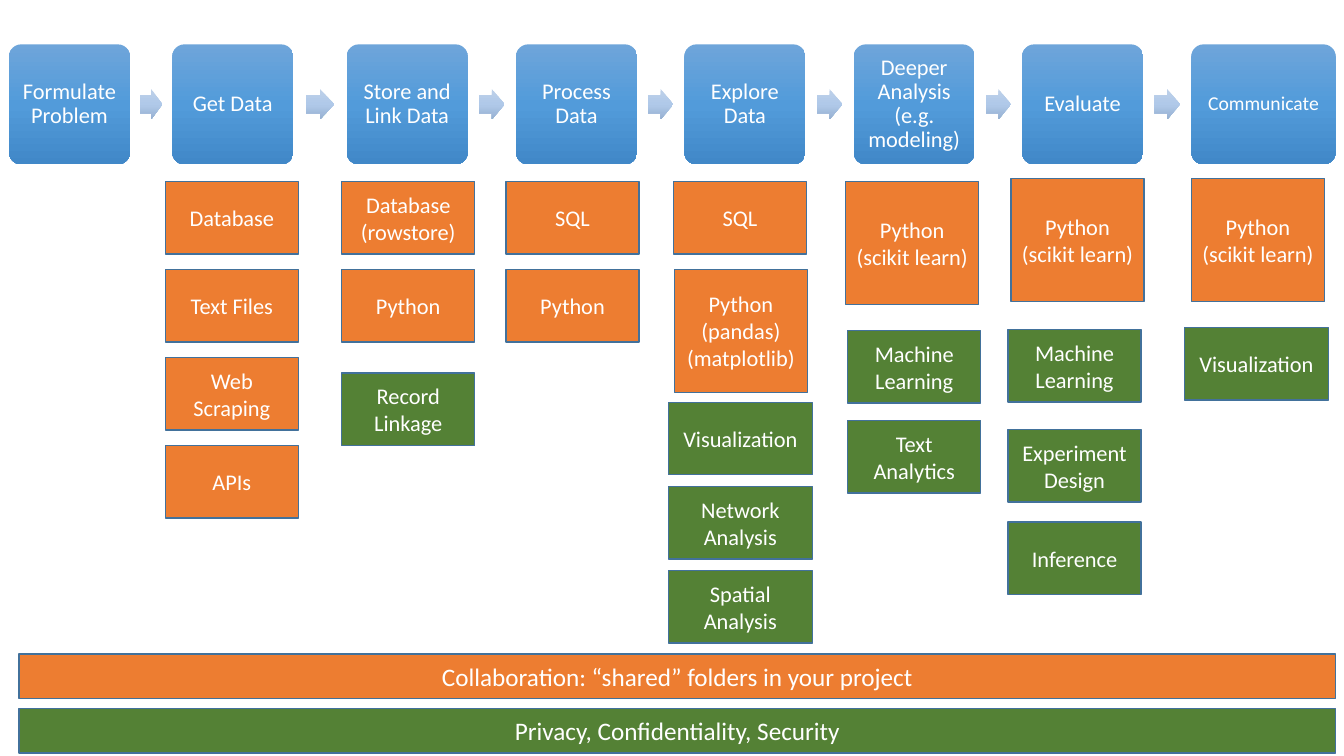
from copy import deepcopy

from pptx import Presentation
from pptx.dml.color import RGBColor
from pptx.enum.shapes import MSO_SHAPE
from pptx.enum.text import MSO_ANCHOR, PP_ALIGN
from pptx.util import Inches, Pt

# The slide is a grid of square cells, a tenth of an inch wide and high.
CELL = Inches(0.1)
COLUMNS, ROWS = 133.33, 75

WHITE, ORANGE, GREEN, OUTLINE = "FFFFFF", "ED7D31", "548135", "42719B"
STEP_GRADIENT = ("6EA5DA", "529BDA", "4188C8")
ARROW_GRADIENT = ("BDD0E9", "B0C9E9", "96B0D1")

STEP_TOP, STEP_WIDTH, STEP_HEIGHT = 4.4, 12, 11.9
ARROW_HEIGHT = 3
BOX_WIDTH, WIDE_BOX, BOX_HEIGHT, TALL_BOX = 13.2, 14.3, 7.2, 12.2
TOOL_TOP, TOOL_PITCH = 18, 8.73

# label, left, width, text size
STEPS = [
    ("Formulate Problem", 0.9, STEP_WIDTH, 16),
    ("Get Data", 17.1, STEP_WIDTH, 16),
    ("Store and Link Data", 34.4, STEP_WIDTH, 16),
    ("Process Data", 51.2, STEP_WIDTH, 16),
    ("Explore Data", 67.9, STEP_WIDTH, 16),
    ("Deeper Analysis (e.g. modeling)", 84.7, STEP_WIDTH, 16),
    ("Evaluate", 101.4, STEP_WIDTH, 16),
    ("Communicate", 118.2, WIDE_BOX, 14),
]

# left, top, pitch, width, height, fill, labels from top to bottom
SCIKIT = ["Python\n(scikit learn)"]
STACKS = [
    (16.4, TOOL_TOP, TOOL_PITCH, BOX_WIDTH, BOX_HEIGHT, ORANGE,
     ["Database", "Text Files", "Web Scraping", "APIs"]),
    (33.9, TOOL_TOP, TOOL_PITCH, BOX_WIDTH, BOX_HEIGHT, ORANGE,
     ["Database\n(rowstore)", "Python"]),
    (50.2, TOOL_TOP, TOOL_PITCH, BOX_WIDTH, BOX_HEIGHT, ORANGE, ["SQL", "Python"]),
    (66.8, TOOL_TOP, 0, BOX_WIDTH, BOX_HEIGHT, ORANGE, ["SQL"]),
    (66.9, TOOL_TOP + TOOL_PITCH, 0, BOX_WIDTH, TALL_BOX, ORANGE,
     ["Python\n(pandas)\n(matplotlib)"]),
    (83.9, TOOL_TOP, 0, BOX_WIDTH, TALL_BOX, ORANGE, SCIKIT),
    (100.3, 17.7, 0, BOX_WIDTH, TALL_BOX, ORANGE, SCIKIT),
    (118.2, 17.7, 0, BOX_WIDTH, TALL_BOX, ORANGE, SCIKIT),
    (33.9, 37, 0, BOX_WIDTH, BOX_HEIGHT, GREEN, ["Record Linkage"]),
    (66.3, 39.9, 8.35, WIDE_BOX, BOX_HEIGHT, GREEN,
     ["Visualization", "Network Analysis", "Spatial Analysis"]),
    (84.1, 32.8, 8.9, BOX_WIDTH, BOX_HEIGHT, GREEN,
     ["Machine Learning", "Text Analytics"]),
    (100, 32.7, 9.9, BOX_WIDTH, BOX_HEIGHT, GREEN,
     ["Machine Learning", "Experiment Design"]),
    (100, 51.8, 0, BOX_WIDTH, BOX_HEIGHT, GREEN, ["Inference"]),
    (117.5, 32.5, 0, WIDE_BOX, BOX_HEIGHT, GREEN, ["Visualization"]),
]

BARS = [
    ("Collaboration: “shared” folders in your project", 64.9, ORANGE),
    ("Privacy, Confidentiality, Security", 70.3, GREEN),
]


def cells(count):
    return round(count * CELL)


def color(value):
    return RGBColor.from_string(value)


def set_attributes(target, values):
    for name, value in values.items():
        setattr(target, name, value)


def add_plain_shape(slide, kind, left, top, width, height, adjustments=()):
    shape = slide.shapes.add_shape(
        kind, cells(left), cells(top), cells(width), cells(height))
    shape.shadow.inherit = False
    for index, value in enumerate(adjustments):
        shape.adjustments[index] = value
    return shape


def fill_gradient(shape, colors):
    """Fill from top to bottom with evenly spaced colors and no outline."""
    shape.line.fill.background()
    shape.fill.gradient()
    shape.fill.gradient_angle = 270
    stop_list = shape.element.xpath(".//a:gsLst")[0]
    while len(stop_list) < len(colors):
        stop_list.append(deepcopy(stop_list[-1]))
    for index, stop in enumerate(shape.fill.gradient_stops):
        stop.position = index / (len(colors) - 1)
        stop.color.rgb = color(colors[index])


def write_text(shape, text, size, inset_x=1, inset_y=0.5, line_spacing=1.0):
    frame = shape.text_frame
    set_attributes(frame, {
        "text": text, "word_wrap": True, "vertical_anchor": MSO_ANCHOR.MIDDLE,
        "margin_left": cells(inset_x), "margin_right": cells(inset_x),
        "margin_top": cells(inset_y), "margin_bottom": cells(inset_y),
    })
    for paragraph in frame.paragraphs:
        set_attributes(paragraph, {
            "alignment": PP_ALIGN.CENTER, "line_spacing": line_spacing})
        set_attributes(paragraph.font, {"name": "Calibri", "size": Pt(size)})
        paragraph.font.color.rgb = color(WHITE)


def add_step(slide, label, left, width, size):
    shape = add_plain_shape(slide, MSO_SHAPE.ROUNDED_RECTANGLE,
                            left, STEP_TOP, width, STEP_HEIGHT, [0.1])
    fill_gradient(shape, STEP_GRADIENT)
    write_text(shape, label, size, 0.65, 0.65, 0.9)


def add_arrow(slide, start, end):
    """Center an arrow in the gap between two steps."""
    width = 0.53 * (end - start)
    left = (start + end - width) / 2
    top = STEP_TOP + (STEP_HEIGHT - ARROW_HEIGHT) / 2
    shape = add_plain_shape(slide, MSO_SHAPE.RIGHT_ARROW,
                            left, top, width, ARROW_HEIGHT, [0.6, 0.5])
    fill_gradient(shape, ARROW_GRADIENT)


def add_box(slide, text, left, top, width, height, fill, size=16):
    shape = add_plain_shape(slide, MSO_SHAPE.RECTANGLE, left, top, width, height)
    shape.fill.solid()
    shape.fill.fore_color.rgb = color(fill)
    shape.line.color.rgb = color(OUTLINE)
    shape.line.width = Pt(1)
    write_text(shape, text, size)


def add_stack(slide, left, top, pitch, width, height, fill, labels):
    for row, label in enumerate(labels):
        add_box(slide, label, left, top + row * pitch, width, height, fill)


def main():
    presentation = Presentation()
    set_attributes(presentation, {
        "slide_width": cells(COLUMNS), "slide_height": cells(ROWS)})
    slide = presentation.slides.add_slide(presentation.slide_layouts[6])
    for step in STEPS:
        add_step(slide, *step)
    for (_, left, width, _), (_, next_left, _, _) in zip(STEPS, STEPS[1:]):
        add_arrow(slide, left + width, next_left)
    for stack in STACKS:
        add_stack(slide, *stack)
    for label, top, fill in BARS:
        add_box(slide, label, 1.9, top, 130.6, 4.4, fill, size=18)
    presentation.save("out.pptx")


if __name__ == "__main__":
    main()
